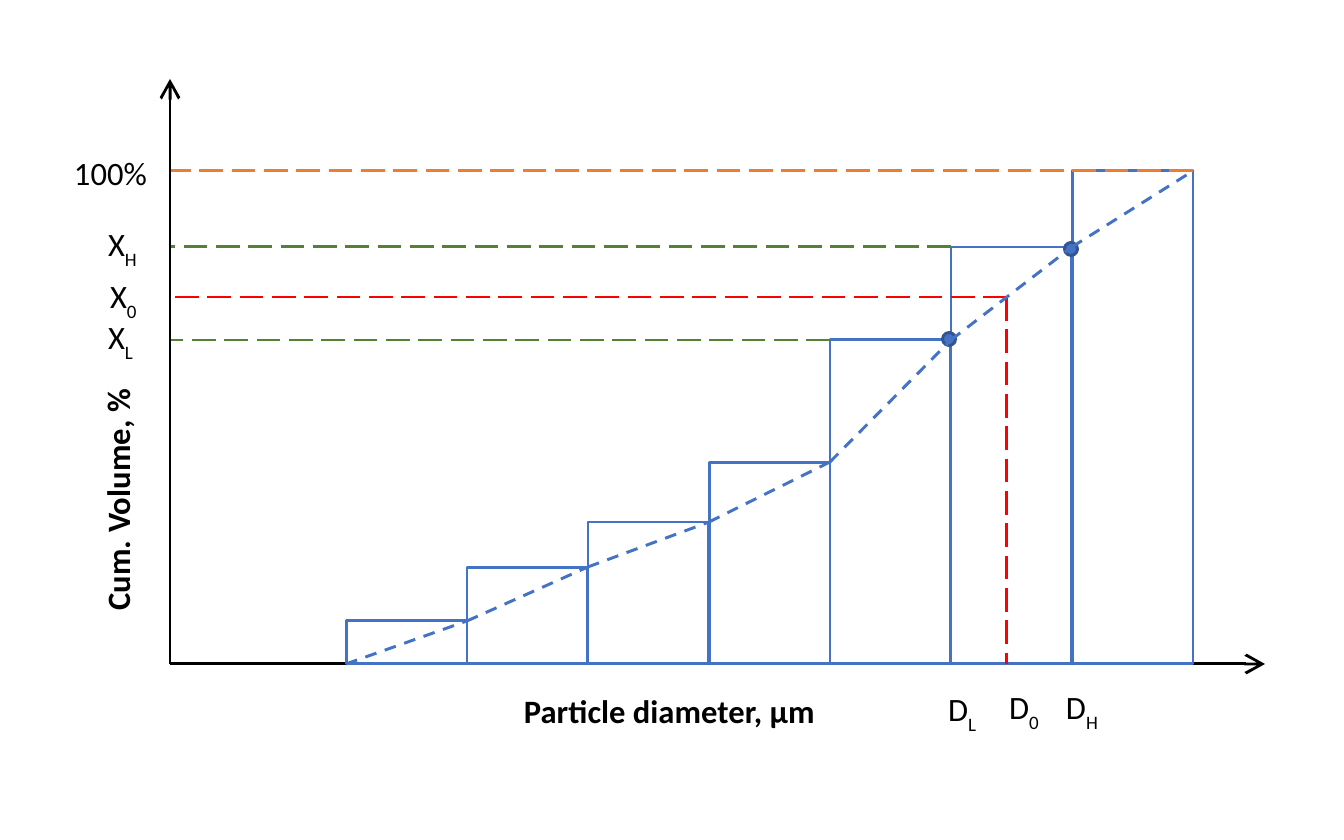
"""Build a slide with a cumulative particle size distribution and its interpolation."""
from itertools import pairwise

from lxml.etree import SubElement
from pptx import Presentation
from pptx.dml.color import RGBColor
from pptx.enum.dml import MSO_LINE
from pptx.enum.shapes import MSO_CONNECTOR, MSO_SHAPE
from pptx.oxml.ns import qn
from pptx.util import Pt

EMU_PER_PX = 4286.25
BLACK, WHITE, BLUE, NAVY = "000000", "FFFFFF", "4472C4", "325491"
ORANGE, GREEN, RED = "ED7D31", "548235", "FF0000"

AXIS_X, BASE_Y = 170, 664
AXIS_TOP, AXIS_RIGHT = 79, 1265
FIRST_BAR, BAR_W = 346, 121
BAR_TOPS = [621, 567, 522, 462, 340, 247, 171]
D0, X0 = 1007, 297
DOT = 13
DOTS = [(1071, 249), (949, 339)]
TEXT_H = 58
AXIS_TITLES = [
    ("Cum. Volume, %", 2, 465, 241, 270),
    ("Particle diameter, μm", 520, 687, 324, 0),
]
SYMBOLS = [
    ("X", "L", 104, 313),
    ("X", "H", 104, 220),
    ("X", "0", 106, 272),
    ("D", "L", 944, 685),
    ("D", "0", 1005, 683),
    ("D", "H", 1062, 683),
]


def px(n):
    return round(n * EMU_PER_PX)


def rgb(value):
    return RGBColor.from_string(value)


def add_text(text, x, y, w, sub="", size=11, bold=False, color=BLACK, rotation=0):
    sp = s.shapes.add_textbox(px(x), px(y), px(w), px(TEXT_H))
    sp.rotation = rotation
    tf = sp.text_frame
    tf.word_wrap = True
    tf.margin_left = tf.margin_right = tf.margin_top = tf.margin_bottom = px(4)
    p = tf.paragraphs[0]
    for part, baseline in ((text, None), (sub, "-30000")):
        if part:
            r = p.add_run()
            r.text = part
            r.font.name, r.font.size, r.font.bold = "Calibri", Pt(size), bold
            r.font.color.rgb = rgb(color)
            if baseline:
                r.font._element.set("baseline", baseline)


def add_shape(kind, x, y, w, h, fill, line):
    sp = s.shapes.add_shape(kind, px(x), px(y), px(w), px(h))
    sp.shadow.inherit = False
    sp.fill.solid()
    sp.fill.fore_color.rgb = rgb(fill)
    sp.line.color.rgb = rgb(line)
    sp.line.width = Pt(1)


def add_line(start, end, color, dash=None, arrow=False):
    cx = s.shapes.add_connector(MSO_CONNECTOR.STRAIGHT, *map(px, (*start, *end)))
    cx.line.color.rgb = rgb(color)
    cx.line.width = Pt(1)
    if dash:
        cx.line.dash_style = dash
    if arrow:
        SubElement(cx.line._get_or_add_ln(), qn("a:tailEnd"), type="arrow")
    SubElement(cx._element.spPr, qn("a:effectLst"))


prs = Presentation()
prs.slide_width, prs.slide_height = px(1344), px(840)
s = prs.slides.add_slide(prs.slide_layouts[6])

origin = (AXIS_X, BASE_Y)
for end in ((AXIS_X, AXIS_TOP), (AXIS_RIGHT, BASE_Y)):
    add_line(origin, end, BLACK, arrow=True)
for text, x, y, w, rotation in AXIS_TITLES:
    add_text(text, x, y, w, bold=True, rotation=rotation)

edges = [FIRST_BAR + i * BAR_W for i in range(len(BAR_TOPS) + 1)]
for x, top in reversed(list(zip(edges, BAR_TOPS))):
    add_shape(MSO_SHAPE.RECTANGLE, x, top, BAR_W, BASE_Y - top, WHITE, BLUE)

add_text("100%", 70, 149, 96)
for x, y in DOTS:
    add_shape(MSO_SHAPE.OVAL, x - DOT / 2, y - DOT / 2, DOT, DOT, BLUE, NAVY)
for text, sub, x, y in SYMBOLS:
    add_text(text, x, y, 55, sub=sub)

guides = [
    (edges[-1], BAR_TOPS[-1], ORANGE),
    (edges[-3], BAR_TOPS[-2], GREEN),
    (edges[-4], BAR_TOPS[-3], GREEN),
    (D0, X0, RED),
]
for x, y, color in guides:
    add_line((x, y), (AXIS_X + 1, y), color, dash=MSO_LINE.LONG_DASH)
add_line((D0, X0), (D0, BASE_Y), RED, dash=MSO_LINE.LONG_DASH)

curve = list(zip(edges, [BASE_Y, *BAR_TOPS]))
for start, end in pairwise(curve):
    add_line(start, end, BLUE, dash=MSO_LINE.DASH)

prs.save("out.pptx")
